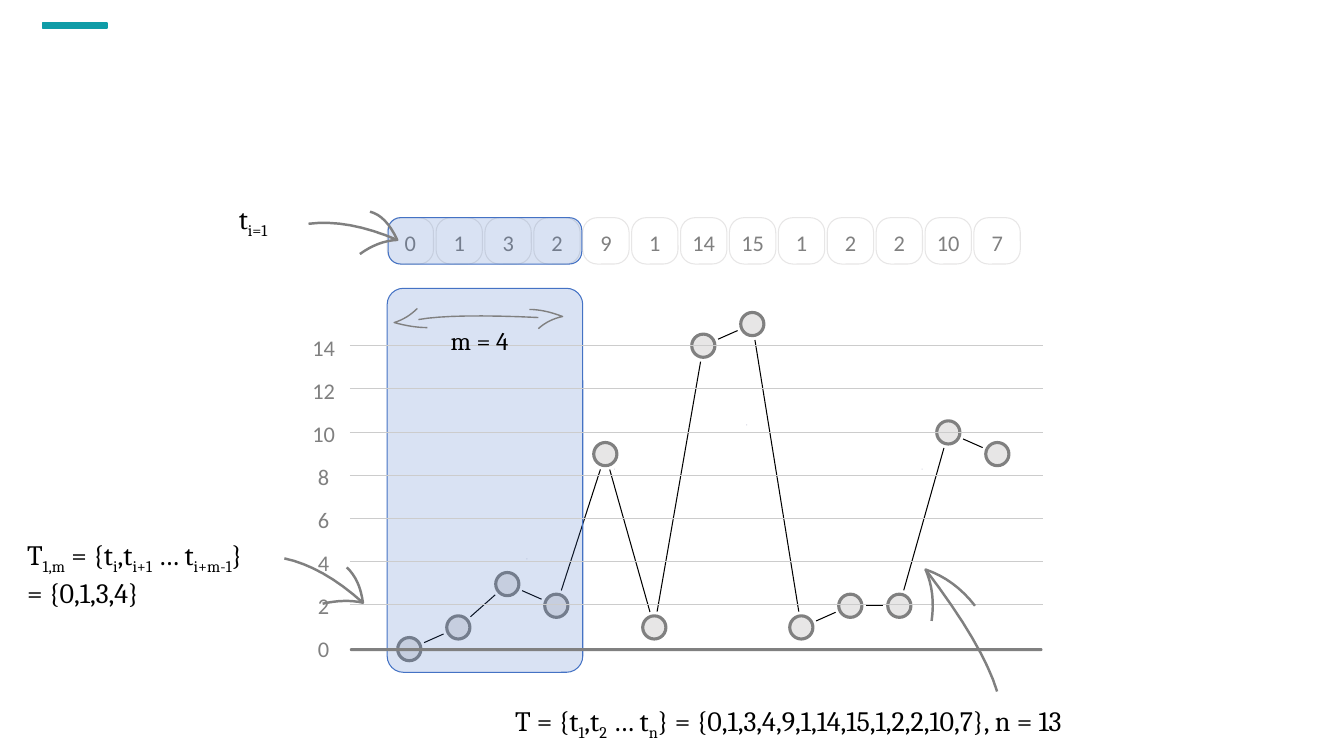
from math import hypot

from lxml import etree
from pptx import Presentation
from pptx.dml.color import RGBColor
from pptx.enum.shapes import MSO_CONNECTOR, MSO_SHAPE
from pptx.enum.text import MSO_AUTO_SIZE, PP_ALIGN
from pptx.oxml.ns import qn
from pptx.util import Inches, Pt

RECT, ROUND, OVAL = MSO_SHAPE.RECTANGLE, MSO_SHAPE.ROUNDED_RECTANGLE, MSO_SHAPE.OVAL
STRAIGHT = MSO_CONNECTOR.STRAIGHT
GROW = MSO_AUTO_SIZE.SHAPE_TO_FIT_TEXT
LEFT, CENTER = PP_ALIGN.LEFT, PP_ALIGN.CENTER


class Theme:
    teal, blue, black = "0F9CA7", "4472C4", "000000"
    gray, light, grid, speck = "808080", "E7E6E6", "CCCCCC", "D5D5E2"
    plain, math = "Calibri", "Cambria"
    small, mid, large = 16, 18, 20
    thin, fine, bold, thick = 0.75, 1, 1.75, 2.25


class Board:
    """Draws styled elements on one slide."""

    def __init__(self, slide, theme):
        self.shapes, self.theme = slide.shapes, theme

    def paint(self, shape, fill, line, width, alpha=None):
        shape.shadow.inherit = False
        if fill:
            shape.fill.solid()
            shape.fill.fore_color.rgb = RGBColor.from_string(fill)
            if alpha:
                color = shape.fill._xPr.find(".//" + qn("a:srgbClr"))
                etree.SubElement(color, qn("a:alpha")).set("val", str(alpha * 1000))
        else:
            shape.fill.background()
        if line:
            shape.line.color.rgb = RGBColor.from_string(line)
            shape.line.width = Pt(width)
        else:
            shape.line.fill.background()

    def shape(self, kind, box, fill=None, line=None, width=Theme.thin, adj=None, alpha=None):
        item = self.shapes.add_shape(kind, *map(Inches, box))
        if adj:
            item.adjustments[0] = adj
        self.paint(item, fill, line, width, alpha)

    def line(self, x1, y1, x2, y2, color):
        item = self.shapes.add_connector(STRAIGHT, *map(Inches, (x1, y1, x2, y2)))
        item.line.color.rgb = RGBColor.from_string(color)
        item.line.width = Pt(self.theme.thin)
        etree.SubElement(item._element.spPr, qn("a:effectLst"))

    def stroke(self, width, *bends):
        """Open pen stroke through bends, each a (start, control, end) curve."""
        spots = []
        for bend in bends:
            for t in (k / 8 for k in range(9)):
                u = 1 - t
                spots.append([Inches(u * u * a + 2 * u * t * b + t * t * c)
                              for a, b, c in zip(*bend)])
        pen = self.shapes.build_freeform(*spots[0])
        pen.add_line_segments(spots[1:], close=False)
        self.paint(pen.convert_to_shape(), None, self.theme.gray, width)

    def head(self, width, tip, first, bend, last, turn):
        self.stroke(width, (first, bend, tip), (tip, turn, last))

    def text(self, box, lines, size, font, color, align=LEFT, wrap=False):
        """Parts between underscores are set as subscripts."""
        frame = self.shapes.add_textbox(*map(Inches, box)).text_frame
        frame.word_wrap, frame.auto_size = wrap, GROW
        for row, line in enumerate(lines):
            para = frame.add_paragraph() if row else frame.paragraphs[0]
            para.alignment = align
            para.font.size, para.font.name = Pt(size), font
            para.font.color.rgb = RGBColor.from_string(color)
            for k, part in enumerate(line.split("_")):
                if part:
                    run = para.add_run()
                    run.text = part
                    if k % 2:
                        run._r.get_or_add_rPr().set("baseline", "-25000")

    def number(self, mid, top, value):
        wide = 0.32 if value < 10 else 0.43
        self.text((mid - wide / 2, top, wide, 0.37), [str(value)],
                  self.theme.small, self.theme.plain, self.theme.gray, CENTER)

    def formula(self, box, lines, size=Theme.large, wrap=True):
        self.text(box, lines, size, self.theme.math, self.theme.black, wrap=wrap)


SERIES = [0, 1, 3, 2, 9, 1, 14, 15, 1, 2, 2, 10, 7]
LEVELS = SERIES[:-1] + [9]  # the last dot is plotted at 9
STEP, SIDE, DOT, GAP = 0.485, 0.46, 0.23, 0.16
SPECKS = [(9.14, 4.65), (8.27, 5.99), (7.4, 4.21), (6.09, 4.65), (5.22, 5.54)]

# Arrows: shaft start and bend, tip, then each barb with its bend
ARROWS = [
    ((2.82, 5.54), (3.2, 5.62), (3.6, 5.98),
     (3.2, 5.99), (3.42, 5.94), (3.44, 5.63), (3.57, 5.75)),
    ((9.89, 6.86), (9.75, 6.4), (9.18, 5.65),
     (9.24, 6.16), (9.28, 5.88), (9.67, 6.01), (9.47, 5.75)),
    ((3.06, 2.22), (3.45, 2.17), (3.94, 2.38),
     (3.57, 2.52), (3.75, 2.39), (3.67, 2.1), (3.83, 2.14)),
]


def main():
    deck = Presentation()
    deck.slide_width, deck.slide_height = Inches(13.33), Inches(7.5)
    look = Theme()
    board = Board(deck.slides.add_slide(deck.slide_layouts[6]), look)

    # Accent bar and specks
    board.shape(RECT, (0.42, 0.23, 0.64, 0.05), look.teal, look.teal, look.fine)
    for spot in SPECKS:
        board.shape(RECT, (*spot, 0.01, 0.01), look.speck)

    # Row of cells
    for k, value in enumerate(SERIES):
        x = 3.84 + STEP * k
        board.shape(ROUND, (x, 2.16, SIDE, SIDE), line=look.light, adj=0.312)
        board.number(x + SIDE / 2, 2.22, value)

    # Plotted series, with links that stop short of the dots
    dots = [(4.06 + 0.486 * k, 6.44 - 0.215 * level) for k, level in enumerate(LEVELS)]
    for (x1, y1), (x2, y2) in zip(dots, dots[1:]):
        part = GAP / hypot(x2 - x1, y2 - y1)
        dx, dy = part * (x2 - x1), part * (y2 - y1)
        board.line(x1 + dx, y1 + dy, x2 - dx, y2 - dy, look.black)
    for x, y in dots:
        board.shape(OVAL, (x - DOT / 2, y - DOT / 2, DOT, DOT),
                    look.light, look.gray, look.thick)

    # Window highlights
    for box, adj in (((3.84, 2.86, 1.94, 3.81), 0.083), ((3.85, 2.16, 1.92, SIDE), 0.265)):
        board.shape(ROUND, box, look.blue, look.blue, look.thin, adj, 20)

    # Grid, base line and scale
    for k in range(8):
        if k:
            y = 6.43 - 0.4286 * k
            board.line(3.47, y, 10.34, y, look.grid)
        board.number(3.21, 6.25 - 0.427 * k, 2 * k)
    board.shape(ROUND, (3.47, 6.43, 6.87, 0.03), look.gray, adj=0.5)

    # Arrows
    for start, bend, tip, *barbs in ARROWS:
        board.stroke(look.bold, (start, bend, tip))
        board.head(look.bold, tip, *barbs)
    board.stroke(look.fine, ((4.15, 3.17), (4.5, 3.11), (5.34, 3.15)))
    board.head(look.fine, (3.91, 3.2), (4.14, 3.06), (4.04, 3.16), (4.24, 3.25), (4.09, 3.25))
    board.head(look.fine, (5.58, 3.14), (5.34, 3.26), (5.44, 3.17), (5.25, 3.07), (5.4, 3.07))

    # Formulas
    board.formula((5.01, 6.93, 6.52, 0.44),
                  ["T = {t_1_,t_2_ … t_n_} = {0,1,3,4,9,1,14,15,1,2,2,10,7}, n = 13"],
                  wrap=False)
    board.formula((0.17, 5.28, 2.69, 0.77),
                  ["T_1,m_ = {t_i_,t_i+1_ … t_i+m-1_}", "= {0,1,3,4}"])
    board.formula((2.27, 1.95, 0.81, 0.44), ["t_i=1_"])
    board.formula((4.37, 3.18, 0.9, 0.4), ["m = 4"], look.mid)

    deck.save("out.pptx")


if __name__ == "__main__":
    main()
